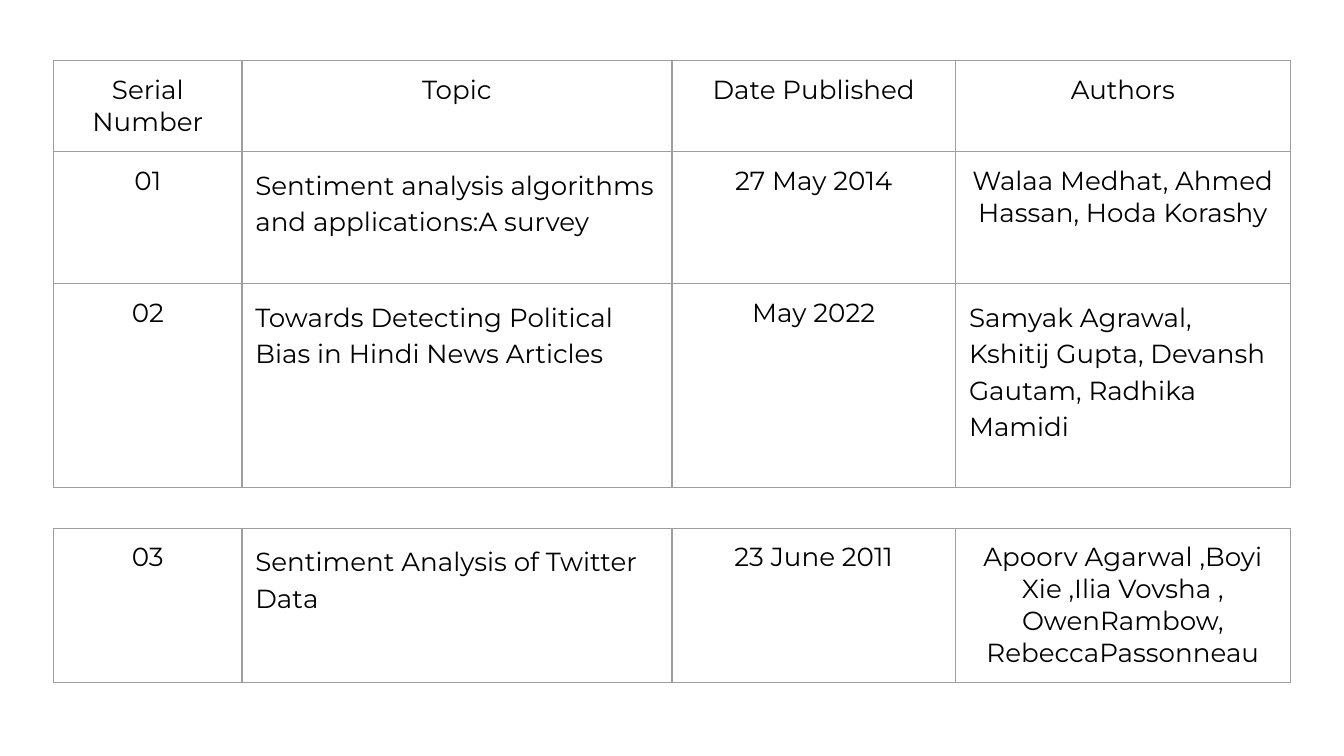
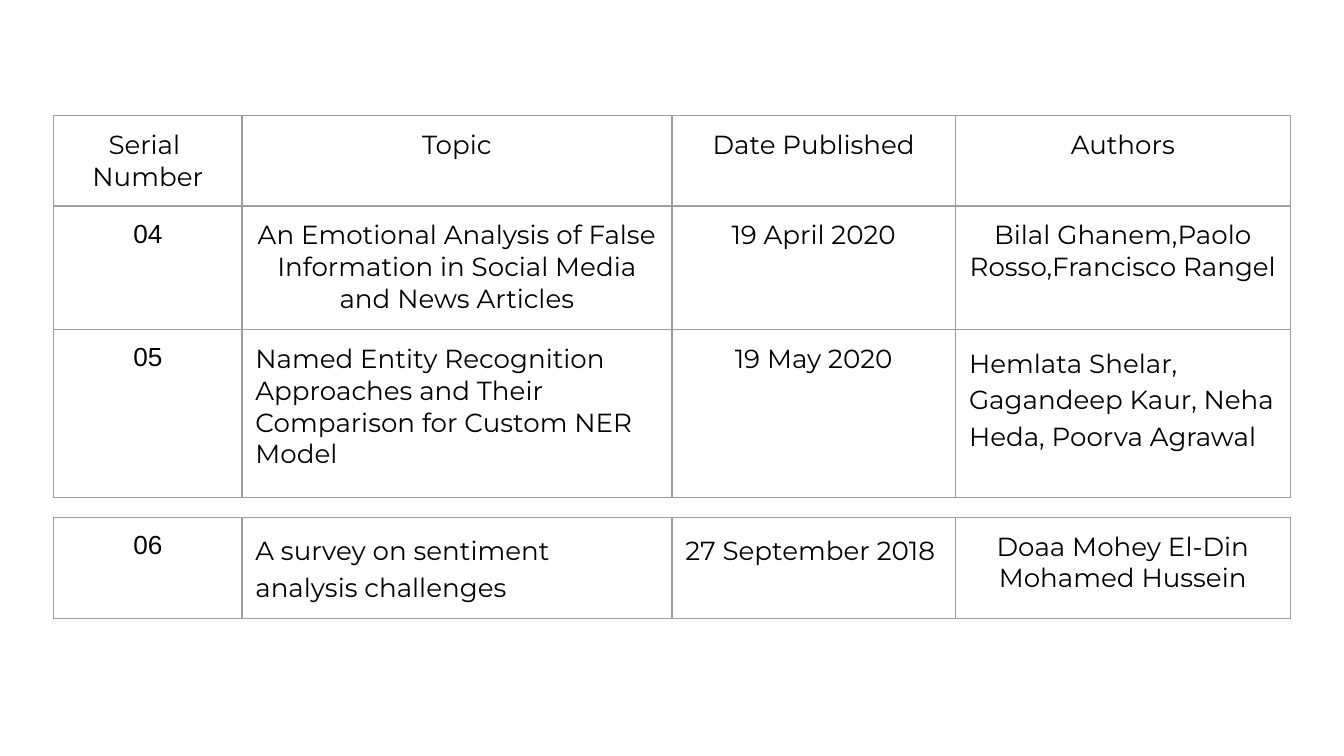
from lxml import etree
from pptx import Presentation
from pptx.dml.color import RGBColor
from pptx.enum.text import PP_ALIGN
from pptx.oxml.ns import qn
from pptx.util import Inches, Pt

CENTER, LEFT = PP_ALIGN.CENTER, PP_ALIGN.LEFT
FONT = "Montserrat"
INK, RULE = "000000", "9E9E9E"
COLS = [1.4, 3.2, 2.11, 2.49]
LEFT_EDGE = 0.4
PAD = Inches(0.1)

# One letter per cell: alignment, line spacing, font
STYLES = {
    "c": (CENTER, None, FONT),
    "a": (CENTER, None, "Arial"),
    "l": (LEFT, None, FONT),
    "w": (LEFT, 1.15, FONT),
}

HEADS = ["Topic", "Date Published", "Authors"]

# Each slide holds tables: top, then rows of (height, styles, texts)
SLIDES = [
    [
        (0.45, [
            (0.68, "cccc", ["Serial Number"] + HEADS),
            (0.98, "cwcc", ["01", "Sentiment analysis algorithms and applications:A survey",
                            "27 May 2014", "Walaa Medhat, Ahmed Hassan, Hoda Korashy"]),
            (1.52, "cwcw", ["02", "Towards Detecting Political Bias in Hindi News Articles",
                            "May 2022",
                            "Samyak Agrawal, Kshitij Gupta, Devansh Gautam, Radhika Mamidi"]),
        ]),
        (3.93, [
            (1.15, "cwcc", ["03", "Sentiment Analysis of Twitter Data", "23 June 2011",
                            "Apoorv Agarwal ,Boyi Xie ,Ilia Vovsha , OwenRambow, "
                            "RebeccaPassonneau"]),
        ]),
    ],
    [
        (0.86, [
            (0.67, "cccc", ["Serial \nNumber"] + HEADS),
            (0.92, "accc", ["04", "An Emotional Analysis of False Information in Social Media "
                            "and News Articles",
                            "19 April 2020", "Bilal Ghanem,Paolo Rosso,Francisco Rangel"]),
            (1.25, "alcw", ["05", "Named Entity Recognition Approaches and Their Comparison "
                            "for Custom NER Model",
                            "19 May 2020",
                            "Hemlata Shelar, Gagandeep Kaur, Neha Heda, Poorva Agrawal"]),
        ]),
        (3.85, [
            (0.75, "awwc", ["06", "A survey on sentiment analysis challenges",
                            "27 September 2018", "Doaa Mohey El-Din Mohamed Hussein"]),
        ]),
    ],
]


def color(code):
    return RGBColor.from_string(code)


def dress(cell, text, style):
    """Fill one cell with text and give it padding, font and borders."""
    align, space, face = STYLES[style]
    cell.margin_left = cell.margin_right = PAD
    cell.margin_top = cell.margin_bottom = PAD
    cell.fill.background()
    cell.text_frame.text = text
    for para in cell.text_frame.paragraphs:
        para.alignment = align
        if space:
            para.line_spacing = space
        for run in para.runs:
            run.font.name = face
            run.font.size = Pt(14)
            run.font.color.rgb = color(INK)
    props = cell._tc.get_or_add_tcPr()
    for spot, side in enumerate(["a:lnL", "a:lnR", "a:lnT", "a:lnB"]):
        line = etree.Element(qn(side), w=str(Pt(0.75)))
        fill = etree.SubElement(line, qn("a:solidFill"))
        etree.SubElement(fill, qn("a:srgbClr"), val=RULE)
        props.insert(spot, line)


prs = Presentation()
prs.slide_width = Inches(10)
prs.slide_height = Inches(10 * 9 / 16)

for tables in SLIDES:
    slide = prs.slides.add_slide(prs.slide_layouts[6])
    for top, rows in tables:
        height = sum(row[0] for row in rows)
        frame = slide.shapes.add_table(len(rows), len(COLS), Inches(LEFT_EDGE), Inches(top),
                                       Inches(sum(COLS)), Inches(height))
        table = frame.table
        table.first_row = False
        table.horz_banding = False
        for col, width in zip(table.columns, COLS):
            col.width = Inches(width)
        for row, (tall, styles, texts) in zip(table.rows, rows):
            row.height = Inches(tall)
            for cell, text, style in zip(row.cells, texts, styles):
                dress(cell, text, style)

prs.save("out.pptx")
